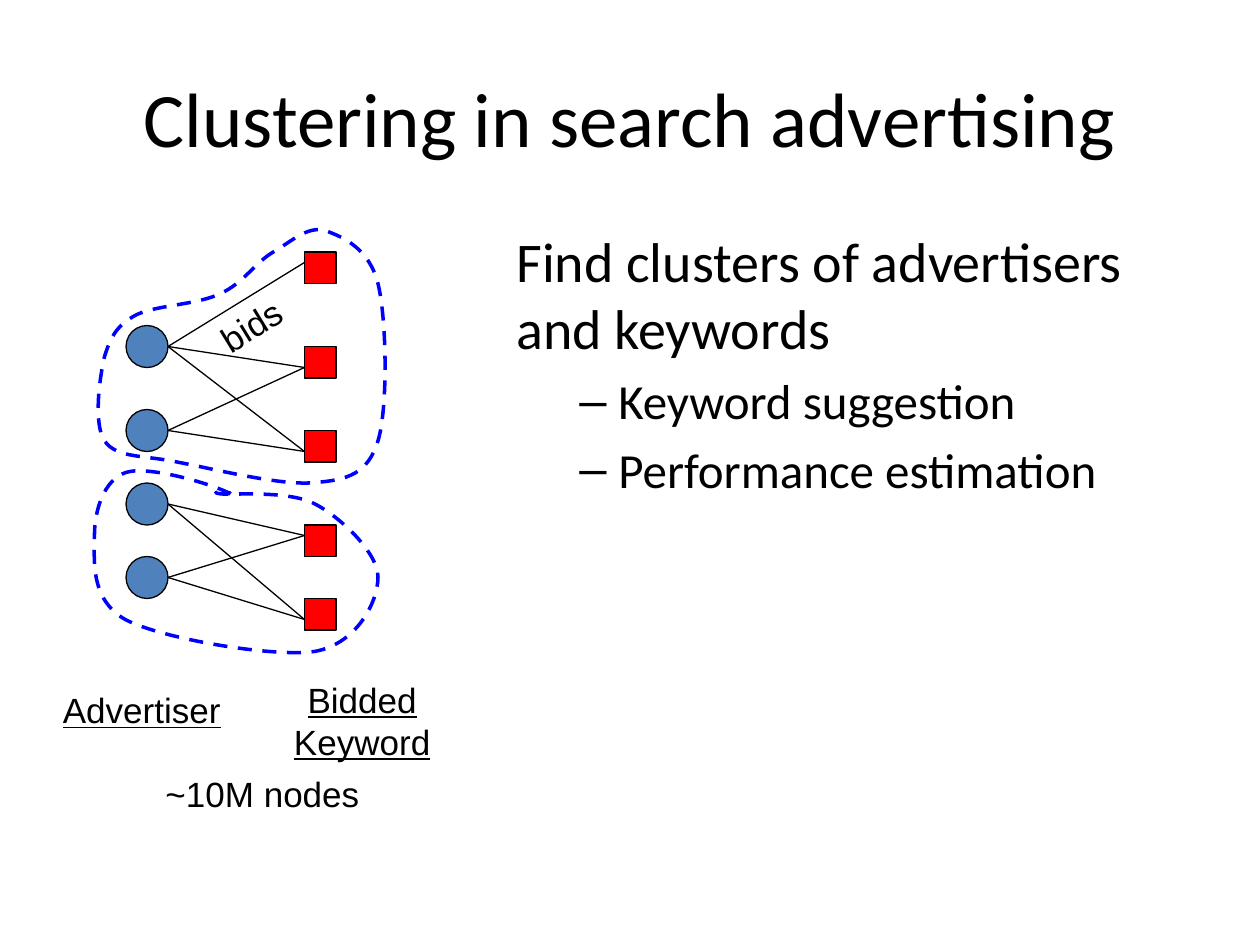
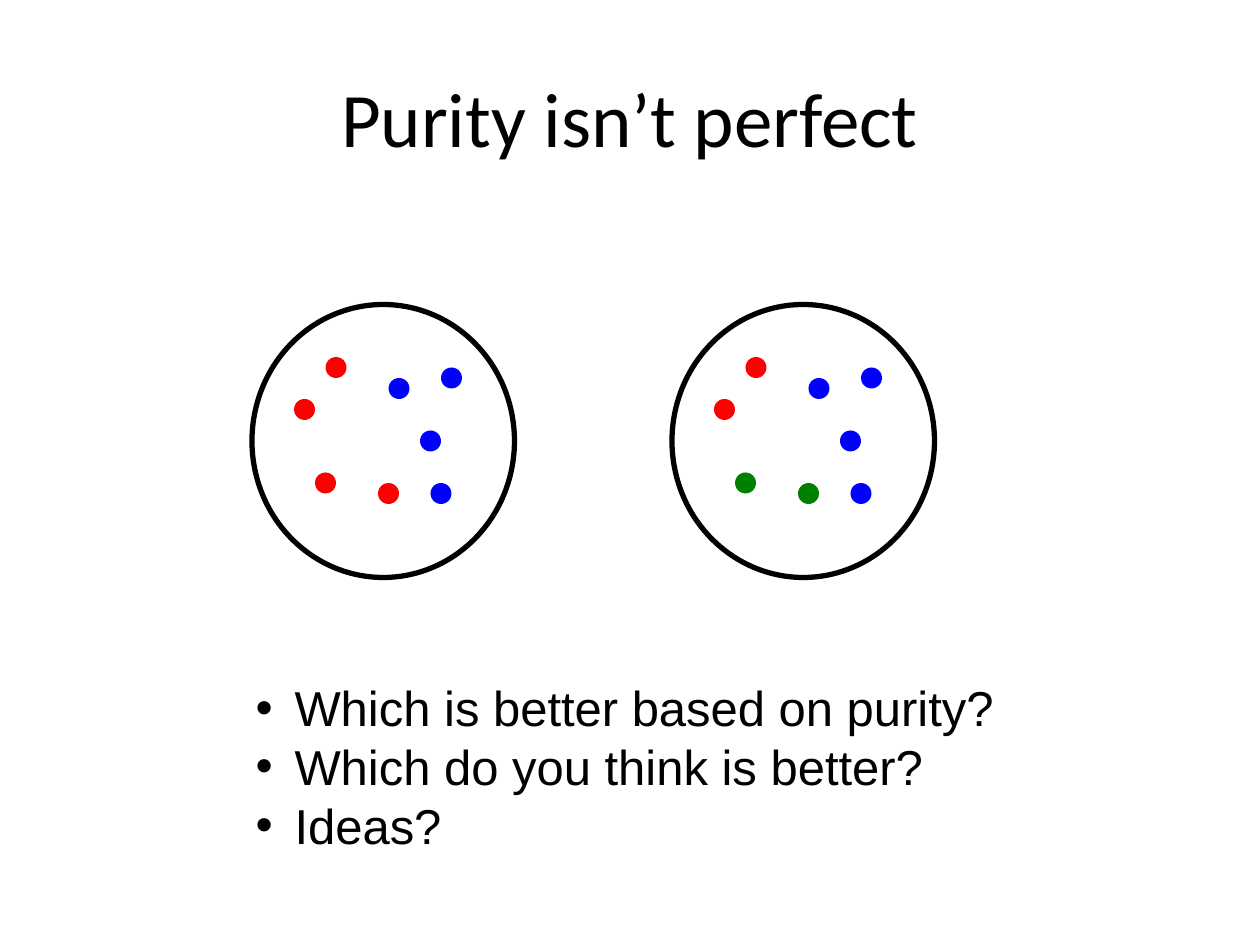
import pptx
import pptx.util
import pptx.dml.color
import pptx.enum.dml
import pptx.enum.shapes
import pptx.enum.text
import lxml.etree
from pptx.util import Inches

BLACK = pptx.dml.color.RGBColor(0x00, 0x00, 0x00)
STEEL = pptx.dml.color.RGBColor(0x4F, 0x81, 0xBD)
RED = pptx.dml.color.RGBColor(0xFF, 0x00, 0x00)
BLUE = pptx.dml.color.RGBColor(0x00, 0x00, 0xFF)
GREEN = pptx.dml.color.RGBColor(0x00, 0x80, 0x00)

OVAL = pptx.enum.shapes.MSO_SHAPE.OVAL
SQUARE = pptx.enum.shapes.MSO_SHAPE.RECTANGLE
LEFT = pptx.enum.text.PP_ALIGN.LEFT
CENTER = pptx.enum.text.PP_ALIGN.CENTER
TOP = pptx.enum.text.MSO_ANCHOR.TOP
MIDDLE = pptx.enum.text.MSO_ANCHOR.MIDDLE
FIXED = pptx.enum.text.MSO_AUTO_SIZE.NONE
GROW = pptx.enum.text.MSO_AUTO_SIZE.SHAPE_TO_FIT_TEXT

GRID_PER_INCH = 12

TITLES = ["Clustering in search advertising", "Purity isn’t perfect"]
GOAL = "Find clusters of advertisers and keywords"
USES = ["Keyword suggestion", "Performance estimation"]
QUESTIONS = ["Which is better based on purity?", "Which do you think is better?", "Ideas?"]

ADVERTISER_LEFT, ADVERTISER_SIZE = 12, 4
ADVERTISER_TOPS = [31, 39, 46, 53]
KEYWORD_LEFT, KEYWORD_SIZE = 29, 3
KEYWORDS = [(24, 25), (33, 35), (41, 43), (50, 51), (57, 59)]
BIDS = [(0, 0), (0, 1), (0, 2), (1, 1), (1, 2), (2, 3), (2, 4), (3, 3), (3, 4)]
LABELS = [
    ("Advertiser", (3, 65, 21, 5), True),
    ("Bidded Keyword", (26, 64, 17, 9), True),
    ("~10M nodes", (13, 73, 24, 5), False),
]

OUTLINES = [
    ((2.17, 2), [
        (2.03, 2.08), (1.93, 2.25), (1.75, 2.33),
        (1.57, 2.42), (1.24, 2.42), (1.08, 2.5),
        (0.93, 2.58), (0.88, 2.67), (0.83, 2.83),
        (0.79, 3), (0.74, 3.36), (0.83, 3.5),
        (0.93, 3.64), (1.14, 3.61), (1.42, 3.67),
        (1.69, 3.72), (2.24, 3.86), (2.5, 3.83),
        (2.76, 3.81), (2.92, 3.76), (3, 3.5),
        (3.08, 3.24), (3.07, 2.53), (3, 2.25),
        (2.93, 1.97), (2.72, 1.88), (2.58, 1.83),
        (2.44, 1.79), (2.31, 1.92), (2.17, 2),
    ]),
    ((1.83, 3.92), [
        (1.71, 3.85), (1.18, 3.69), (1, 3.75),
        (0.82, 3.81), (0.75, 4.06), (0.75, 4.25),
        (0.75, 4.44), (0.71, 4.76), (1, 4.92),
        (1.29, 5.07), (2.17, 5.22), (2.5, 5.17),
        (2.83, 5.11), (3, 4.78), (3, 4.58),
        (3, 4.39), (2.71, 4.11), (2.5, 4),
        (2.29, 3.89), (1.86, 3.93), (1.75, 3.92),
        (1.64, 3.9), (1.81, 3.91), (1.82, 3.91),
        (1.83, 3.91), (1.83, 3.92), (1.83, 3.92),
    ]),
]

DOT_SIZE = 2
DOTS = [(4, 9), (7, 5), (6, 16), (13, 7), (12, 17), (16, 12), (18, 6), (17, 17)]
CLUSTERS = [
    (24, [RED, RED, RED, BLUE, RED, BLUE, BLUE, BLUE]),
    (64, [RED, RED, GREEN, BLUE, GREEN, BLUE, BLUE, BLUE]),
]
CLUSTER_TOP, CLUSTER_WIDTH, CLUSTER_HEIGHT = 29, 25, 26


def on_grid(*units):
    return [unit / GRID_PER_INCH for unit in units]


def write(para, text, font="Arial", size=20, align=LEFT, underline=False,
          bullet=None, margin=0.31, before=0):
    if bullet:
        properties = para._p.get_or_add_pPr()
        properties.set("marL", str(Inches(margin)))
        properties.set("indent", str(-Inches(0.31)))
        face = lxml.etree.SubElement(properties, pptx.oxml.ns.qn("a:buFont"))
        face.set("typeface", "Arial")
        mark = lxml.etree.SubElement(properties, pptx.oxml.ns.qn("a:buChar"))
        mark.set("char", bullet)
    para.alignment = align
    if before:
        para.space_before = pptx.util.Pt(before)
    span = para.add_run()
    span.text = text
    span.font.name = font
    span.font.size = pptx.util.Pt(size)
    span.font.color.rgb = BLACK
    if underline:
        span.font.underline = True


def add_text(page, place, entries, anchor=TOP, rotation=0, fit=GROW, wrap=True, **style):
    box = page.shapes.add_textbox(*map(Inches, place))
    box.rotation = rotation
    frame = box.text_frame
    frame.word_wrap = wrap
    frame.auto_size = fit
    frame.vertical_anchor = anchor
    for index, (text, extra) in enumerate(entries):
        para = frame.add_paragraph() if index else frame.paragraphs[0]
        write(para, text, **{**style, **extra})


def paint(shape, fill=None, line=None, weight=0.75):
    shape.shadow.inherit = False
    if fill is None:
        shape.fill.background()
    else:
        shape.fill.solid()
        shape.fill.fore_color.rgb = fill
    if line is None:
        shape.line.fill.background()
    else:
        shape.line.color.rgb = line
        shape.line.width = pptx.util.Pt(weight)


def add_mark(page, kind, place, **look):
    paint(page.shapes.add_shape(kind, *map(Inches, on_grid(*place))), **look)


def add_bid(page, *ends):
    bid = page.shapes.add_connector(
        pptx.enum.shapes.MSO_CONNECTOR.STRAIGHT, *map(Inches, on_grid(*ends)))
    bid.line.color.rgb = BLACK
    bid.line.width = pptx.util.Pt(0.75)
    lxml.etree.SubElement(bid._element.spPr, pptx.oxml.ns.qn("a:effectLst"))


def bend(outline):
    segments = list(outline._element.iter(pptx.oxml.ns.qn("a:lnTo")))
    for first in range(0, len(segments), 3):
        curve = lxml.etree.Element(pptx.oxml.ns.qn("a:cubicBezTo"))
        segments[first].addprevious(curve)
        for segment in segments[first:first + 3]:
            curve.append(segment[0])
            segment.getparent().remove(segment)


def add_outline(page, start, controls):
    builder = page.shapes.build_freeform(*map(Inches, start))
    builder.add_line_segments([tuple(map(Inches, point)) for point in controls], close=True)
    outline = builder.convert_to_shape()
    bend(outline)
    paint(outline, line=BLUE, weight=2)
    outline.line.dash_style = pptx.enum.dml.MSO_LINE.DASH


def add_page(deck, title):
    page = deck.slides.add_slide(deck.slide_layouts[6])
    add_text(page, (0.5, 0.3, 9, 1.25), [(title, {})],
             anchor=MIDDLE, fit=FIXED, font="Calibri", size=44, align=CENTER)
    return page


def build_advertising(deck):
    page = add_page(deck, TITLES[0])
    use_style = {"size": 28, "bullet": "–", "margin": 0.81, "before": 5.6}
    add_text(page, (4, 1.75, 5.5, 4.95),
             [(GOAL, {"size": 32})] + [(use, use_style) for use in USES],
             fit=FIXED, font="Calibri")
    for top in ADVERTISER_TOPS:
        add_mark(page, OVAL, (ADVERTISER_LEFT, top, ADVERTISER_SIZE, ADVERTISER_SIZE),
                 fill=STEEL, line=BLACK)
    for top, port in KEYWORDS:
        add_mark(page, SQUARE, (KEYWORD_LEFT, top, KEYWORD_SIZE, KEYWORD_SIZE),
                 fill=RED, line=BLACK)
    for advertiser, keyword in BIDS:
        add_bid(page, ADVERTISER_LEFT + ADVERTISER_SIZE,
                ADVERTISER_TOPS[advertiser] + ADVERTISER_SIZE / 2,
                KEYWORD_LEFT, KEYWORDS[keyword][1])
    for start, controls in OUTLINES:
        add_outline(page, start, controls)
    add_text(page, (1.61, 2.26, 1.11, 0.44), [("bids", {})], rotation=328.4)
    for text, place, underline in LABELS:
        add_text(page, on_grid(*place), [(text, {})], align=CENTER, underline=underline)


def build_purity(deck):
    page = add_page(deck, TITLES[1])
    for left, colors in CLUSTERS:
        add_mark(page, OVAL, (left, CLUSTER_TOP, CLUSTER_WIDTH, CLUSTER_HEIGHT),
                 line=BLACK, weight=3)
        for (across, down), color in zip(DOTS, colors):
            add_mark(page, OVAL, (left + across, CLUSTER_TOP + down, DOT_SIZE, DOT_SIZE),
                     fill=color)
    add_text(page, (1.93, 5.33, 6.14, 1.51), [(question, {}) for question in QUESTIONS],
             wrap=False, size=28, bullet="•")


def main():
    deck = pptx.Presentation()
    deck.slide_width, deck.slide_height = Inches(10), Inches(7.5)
    build_advertising(deck)
    build_purity(deck)
    deck.save("out.pptx")


if __name__ == "__main__":
    main()
